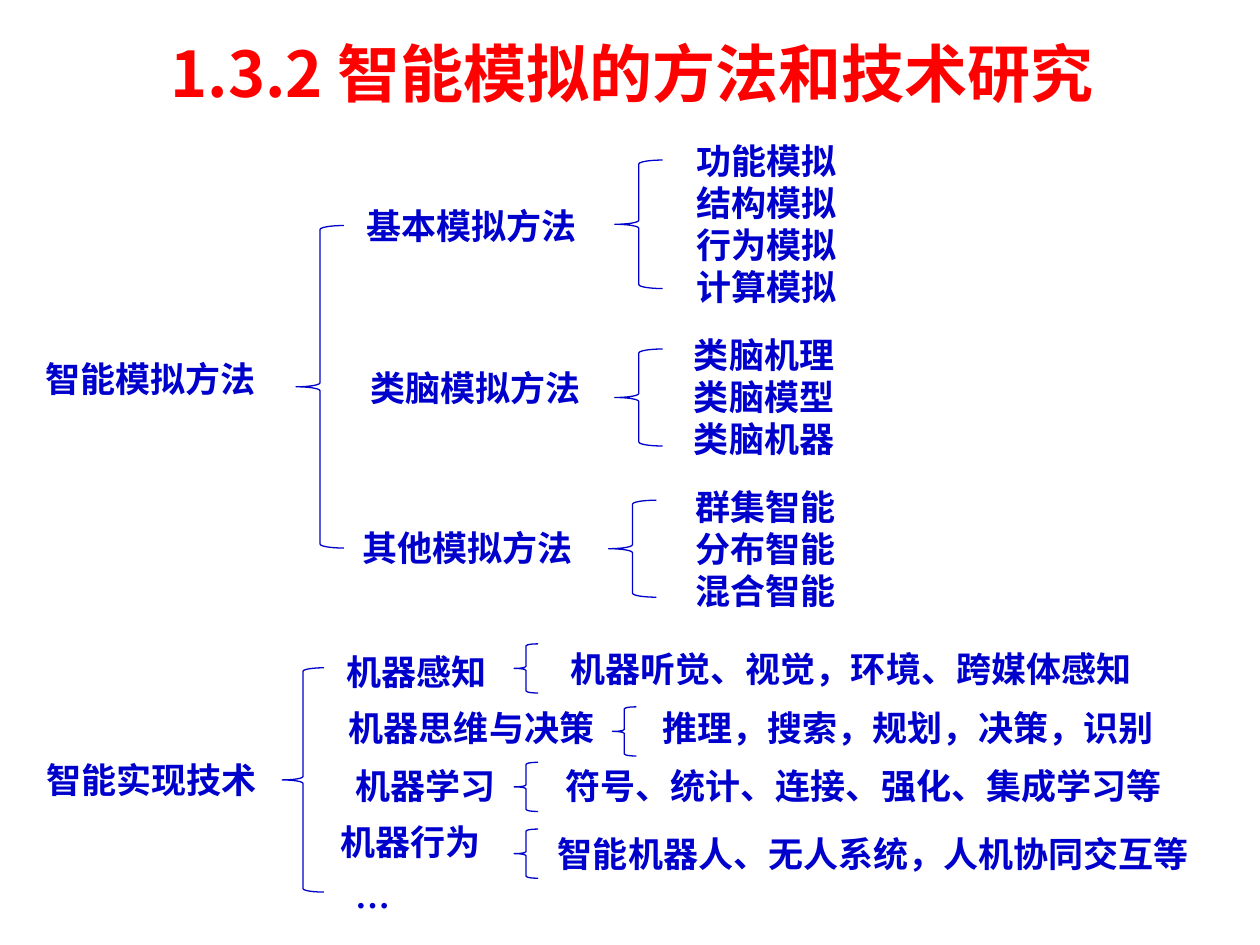
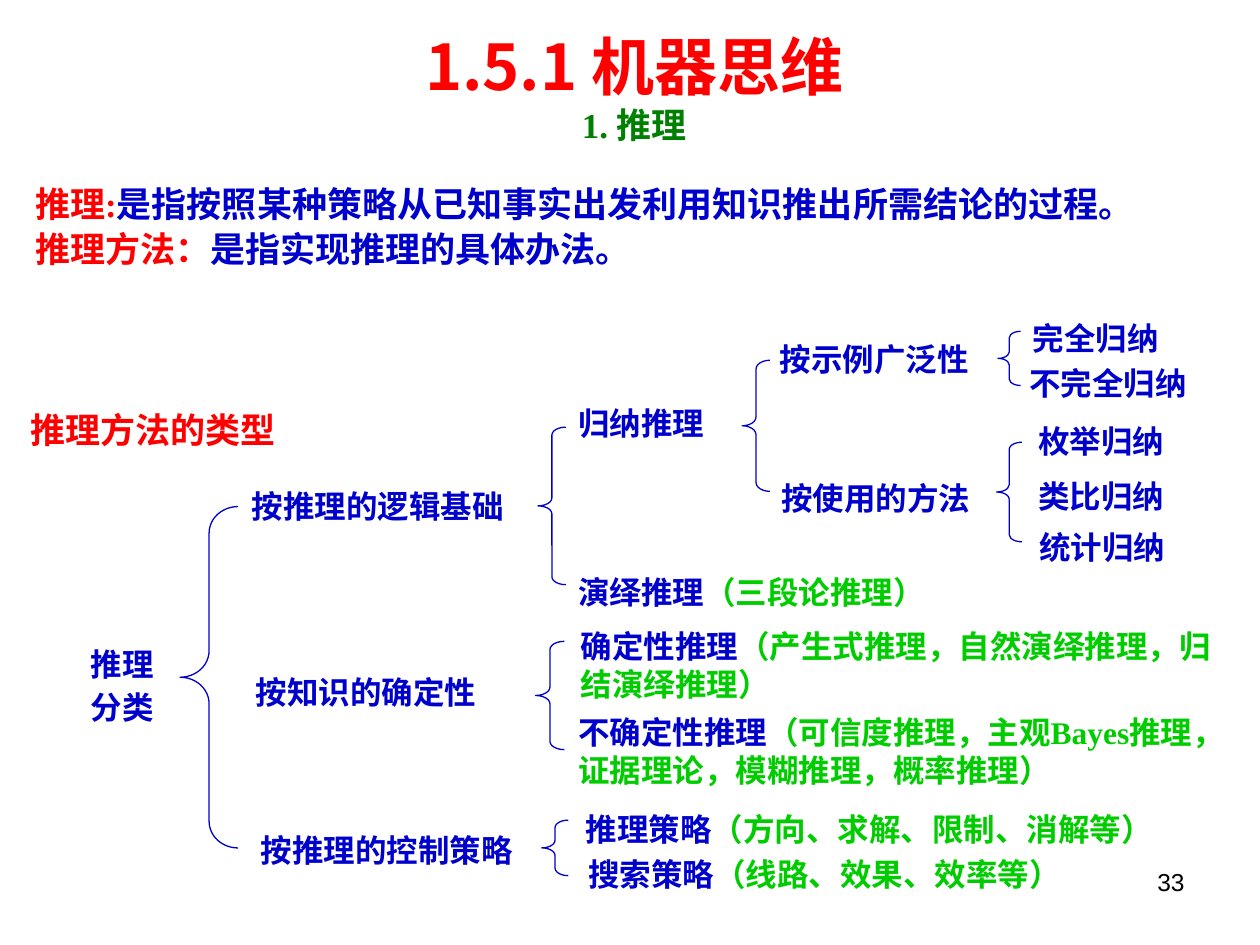
from dataclasses import dataclass

from pptx import Presentation
from pptx.dml.color import RGBColor as Color
from pptx.enum.shapes import MSO_SHAPE as Shape
from pptx.enum.text import MSO_ANCHOR as Anchor, PP_ALIGN as Align
from pptx.util import Emu, Pt

EMU_PER_PX = 9144


def px(length):
    return Emu(length * EMU_PER_PX)


@dataclass(frozen=True)
class Theme:
    red: Color = Color(0xFF, 0x00, 0x00)
    blue: Color = Color(0x00, 0x00, 0xCC)
    green: Color = Color(0x00, 0xCC, 0x00)
    dark_green: Color = Color(0x00, 0x80, 0x00)
    black: Color = Color(0x00, 0x00, 0x00)
    sans: str = "Noto Sans CJK SC"
    serif: str = "Times New Roman"
    number_font: str = "Arial"
    title_size: int = 36
    body_size: int = 20
    branch_size: int = 18
    number_size: int = 14
    line_width: float = 0.75


class Deck:
    def __init__(self, theme):
        self.theme = theme
        self.presentation = Presentation()
        self.presentation.slide_width = px(1000)
        self.presentation.slide_height = px(750)
        self.slide = None
        self.font = theme.sans
        self.size = theme.body_size
        self.curve = 0.083

    def start_slide(self, font, size, curve):
        self.slide = self.presentation.slides.add_slide(self.presentation.slide_layouts[6])
        self.font, self.size, self.curve = font, size, curve

    def text(self, box, *lines, color=None, font=None, size=None, bold=True,
             align=Align.LEFT, spacing=None, anchor=Anchor.TOP):
        frame = self.slide.shapes.add_textbox(*map(px, box)).text_frame
        frame.word_wrap = True
        frame.vertical_anchor = anchor
        for index, line in enumerate(lines):
            paragraph = frame.paragraphs[0] if index == 0 else frame.add_paragraph()
            self.fill_paragraph(paragraph, line, color or self.theme.blue,
                                font or self.font, size or self.size, bold)
            paragraph.alignment = align
            if spacing:
                paragraph.line_spacing = spacing
        return frame

    def fill_paragraph(self, paragraph, line, color, font, size, bold):
        paragraph.font.name = font
        paragraph.font.size = Pt(size)
        paragraph.font.bold = bold
        paragraph.font.color.rgb = color
        parts = [(line, None)] if isinstance(line, str) else line
        for words, part_color in parts:
            run = paragraph.add_run()
            run.text = words
            if part_color:
                run.font.color.rgb = part_color

    def title(self, box, words, subtitle=None):
        theme = self.theme
        frame = self.text(box, words, color=theme.red, font=theme.sans,
                          size=theme.title_size, align=Align.CENTER,
                          anchor=Anchor.TOP if subtitle else Anchor.MIDDLE)
        if subtitle:
            paragraph = frame.add_paragraph()
            self.fill_paragraph(paragraph, subtitle, theme.dark_green,
                                theme.serif, theme.body_size, True)
            paragraph.alignment = Align.CENTER

    def brace(self, left, top, width, height, curve=None):
        shape = self.slide.shapes.add_shape(Shape.LEFT_BRACE,
                                            *map(px, (left, top, width, height)))
        shape.adjustments[0] = curve or self.curve
        shape.adjustments[1] = 0.5
        shape.shadow.inherit = False
        shape.fill.background()
        shape.line.color.rgb = self.theme.blue
        shape.line.width = Pt(self.theme.line_width)

    def page_number(self, number):
        theme = self.theme
        self.text((717, 683, 233, 52), str(number), color=theme.black,
                  font=theme.number_font, size=theme.number_size,
                  bold=False, align=Align.RIGHT)

    def save(self):
        self.presentation.save("out.pptx")


def build_simulation_slide(deck):
    theme = deck.theme
    deck.start_slide(theme.sans, theme.body_size, 0.083)
    deck.title((31, 23, 941, 69), "1.3.2 智能模拟的方法和技术研究")

    roots = [
        ("智能模拟方法", (20, 279), (235, 179, 38, 256)),
        ("智能实现技术", (21, 597), (224, 530, 33, 178)),
    ]
    for name, position, brace in roots:
        deck.text((*position, 199, 44), name, align=Align.CENTER)
        deck.brace(*brace)

    methods = [
        ("基本模拟方法", (281, 157), (488, 127, 38, 102), (543, 106),
         ("功能模拟", "结构模拟", "行为模拟", "计算模拟")),
        ("类脑模拟方法", (284, 286), (488, 277, 38, 77), (541, 260),
         ("类脑机理", "类脑模型", "类脑机器")),
        ("其他模拟方法", (278, 413), (483, 397, 38, 77), (542, 380),
         ("群集智能", "分布智能", "混合智能")),
    ]
    for name, position, brace, list_position, items in methods:
        deck.text((*position, 205, 44), name)
        deck.brace(*brace)
        deck.text((*list_position, 200, 10 + 34 * len(items)), *items)

    technologies = [
        ("机器感知", (265, 511), (408, 511), (443, 509),
         "机器听觉、视觉，环境、跨媒体感知"),
        ("机器思维与决策", (267, 556), (486, 561), (516, 556),
         "推理，搜索，规划，决策，识别"),
        ("机器学习", (272, 602), (408, 605), (439, 602),
         "符号、统计、连接、强化、集成学习等"),
        ("机器行为", (260, 646), (408, 658), (433, 656),
         "智能机器人、无人系统，人机协同交互等"),
    ]
    for name, position, brace_position, detail_position, detail in technologies:
        deck.text((*position, 232, 44), name)
        deck.brace(*brace_position, 19, 39)
        deck.text((*detail_position, 531, 44), detail)
    deck.text((272, 697, 123, 44), "…")


def build_reasoning_slide(deck):
    theme = deck.theme
    deck.start_slide(theme.serif, theme.branch_size, 0.285)
    deck.title((18, 17, 971, 104), "1.5.1 机器思维", "1. 推理")
    deck.page_number(33)

    deck.text((18, 137, 957, 83),
              [("推理:", theme.red),
               ("是指按照某种策略从已知事实出发利用知识推出所需结论的过程。", None)],
              [("推理方法：", theme.red), ("是指实现推理的具体办法。", None)],
              size=theme.body_size, spacing=Pt(26))
    deck.text((14, 316, 246, 47), "推理方法的类型", color=theme.red,
              size=theme.body_size, spacing=1.1)
    deck.text((62, 502, 79, 77), "推理", "分类", spacing=Pt(25))

    braces = [
        (143, 402, 46, 271, 0.459),
        (427, 339, 22, 125),
        (425, 509, 23, 86),
        (430, 651, 21, 44),
        (589, 286, 22, 104, 0.318),
        (792, 263, 18, 43),
        (791, 351, 20, 79),
    ]
    for brace in braces:
        deck.brace(*brace)

    branches = [
        ("按推理的逻辑基础", 190, 382, 230),
        ("按知识的确定性", 193, 529, 230),
        ("按推理的控制策略", 197, 655, 230),
        ("归纳推理", 449, 316, 130),
        ("按示例广泛性", 609, 265, 179),
        ("按使用的方法", 610, 375, 179),
        ("完全归纳", 810, 248, 153),
        ("不完全归纳", 807, 284, 153),
        ("枚举归纳", 814, 330, 153),
        ("类比归纳", 814, 374, 153),
        ("统计归纳", 815, 414, 153),
    ]
    for name, left, top, width in branches:
        deck.text((left, top, width, 40), name)

    explained_branches = [
        ("演绎推理", "（三段论推理）", (449, 450, 319, 40)),
        ("确定性推理", "（产生式推理，自然演绎推理，归结演绎推理）",
         (451, 493, 524, 71)),
        ("不确定性推理", "（可信度推理，主观Bayes推理，证据理论，模糊推理，概率推理）",
         (449, 561, 520, 71)),
        ("推理策略", "（方向、求解、限制、消解等）", (455, 638, 513, 40)),
        ("搜索策略", "（线路、效果、效率等）", (457, 674, 421, 40)),
    ]
    for name, explanation, box in explained_branches:
        deck.text(box, [(name, None), (explanation, theme.green)])


def main():
    deck = Deck(Theme())
    build_simulation_slide(deck)
    build_reasoning_slide(deck)
    deck.save()


if __name__ == "__main__":
    main()
